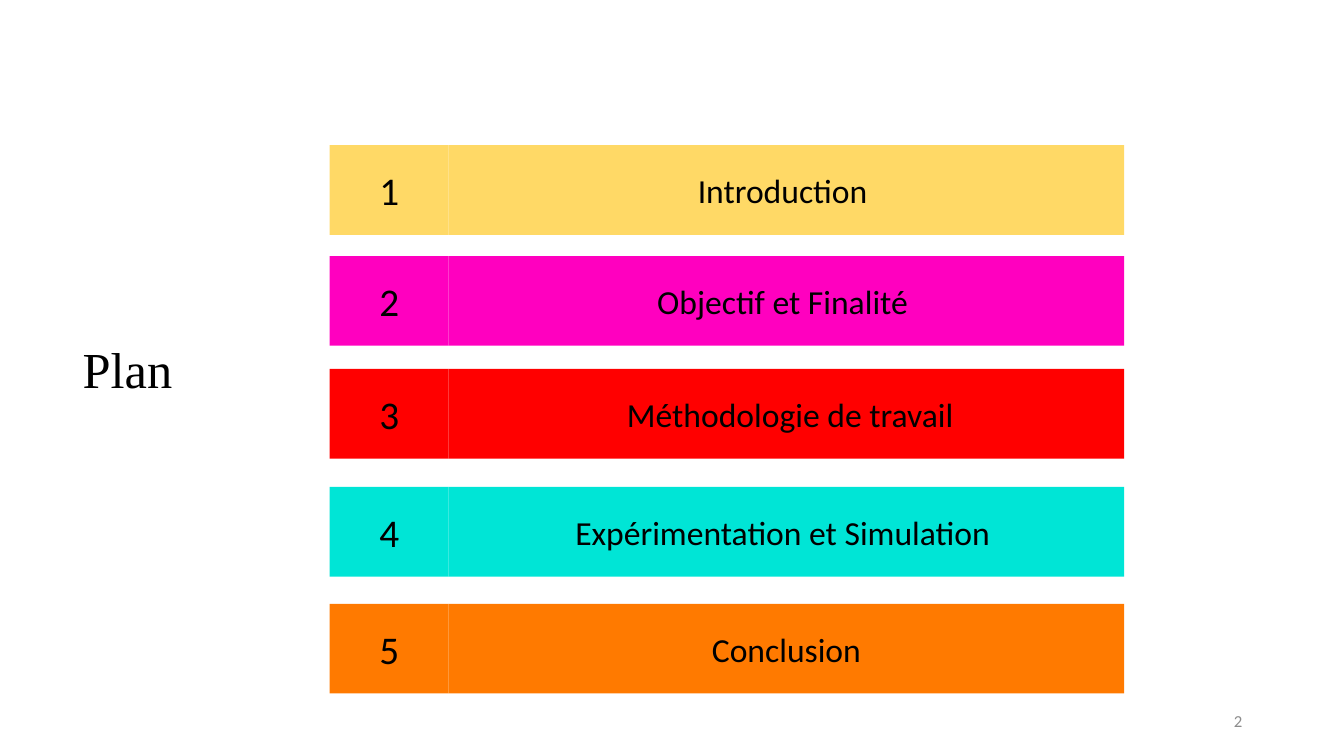
from pptx import Presentation
from pptx.dml.color import RGBColor
from pptx.enum.shapes import MSO_SHAPE
from pptx.enum.text import MSO_ANCHOR, MSO_AUTO_SIZE, PP_ALIGN
from pptx.util import Inches, Pt

COLORS = {
    "yellow": "FFD966",
    "pink": "FF00BF",
    "red": "FF0000",
    "turquoise": "00E5D6",
    "orange": "FF7A00",
    "black": "000000",
    "grey": "8C8C8C",
}
AGENDA = [
    (1.44, "Introduction ", "yellow"),
    (2.54, "Objectif et Finalité ", "pink"),
    (3.66, " Méthodologie de travail", "red"),
    (4.83, "Expérimentation et Simulation ", "turquoise"),
    (5.99, "Conclusion", "orange"),
]
ROW_HEIGHT = 0.89
NUMBER_WIDTH = 1.18


def write(sp, text, size, font="Calibri", color="black",
          align=PP_ALIGN.CENTER, anchor=MSO_ANCHOR.MIDDLE):
    tf = sp.text_frame
    tf.word_wrap = True
    tf.auto_size = MSO_AUTO_SIZE.NONE
    tf.vertical_anchor = anchor
    p = tf.paragraphs[0]
    p.alignment = align
    r = p.add_run()
    r.text = text
    r.font.size = Pt(size)
    r.font.name = font
    r.font.color.rgb = RGBColor.from_string(COLORS[color])


def add_block(s, left, top, width, height, text, size, color):
    sp = s.shapes.add_shape(MSO_SHAPE.RECTANGLE, Inches(left), Inches(top),
                            Inches(width), Inches(height))
    sp.shadow.inherit = False
    sp.fill.solid()
    sp.fill.fore_color.rgb = RGBColor.from_string(COLORS[color])
    sp.line.fill.background()
    write(sp, text, size)


def add_agenda(s, left, width):
    for number, (top, label, color) in enumerate(AGENDA, 1):
        add_block(s, left + NUMBER_WIDTH, top, width - NUMBER_WIDTH,
                  ROW_HEIGHT, label, 24, color)
        add_block(s, left, top, NUMBER_WIDTH, ROW_HEIGHT,
                  str(number), 28, color)


def add_title(s, left, top, width, height):
    sp = s.shapes.title
    sp.left, sp.top = Inches(left), Inches(top)
    sp.width, sp.height = Inches(width), Inches(height)
    write(sp, "Plan", 36, font="Times New Roman",
          align=PP_ALIGN.LEFT, anchor=MSO_ANCHOR.TOP)


def add_page_number(s, left, top, width, height):
    sp = s.shapes.add_textbox(Inches(left), Inches(top),
                              Inches(width), Inches(height))
    write(sp, "2", 12, color="grey", align=PP_ALIGN.RIGHT)


def main():
    prs = Presentation()
    prs.slide_width, prs.slide_height = Inches(13.33), Inches(7.5)
    s = prs.slides.add_slide(prs.slide_layouts[5])
    add_agenda(s, 3.27, 7.88)
    add_title(s, 0.72, 3.3, 1.61, 0.71)
    add_page_number(s, 9.42, 6.95, 3, 0.4)
    prs.save("out.pptx")


if __name__ == "__main__":
    main()
